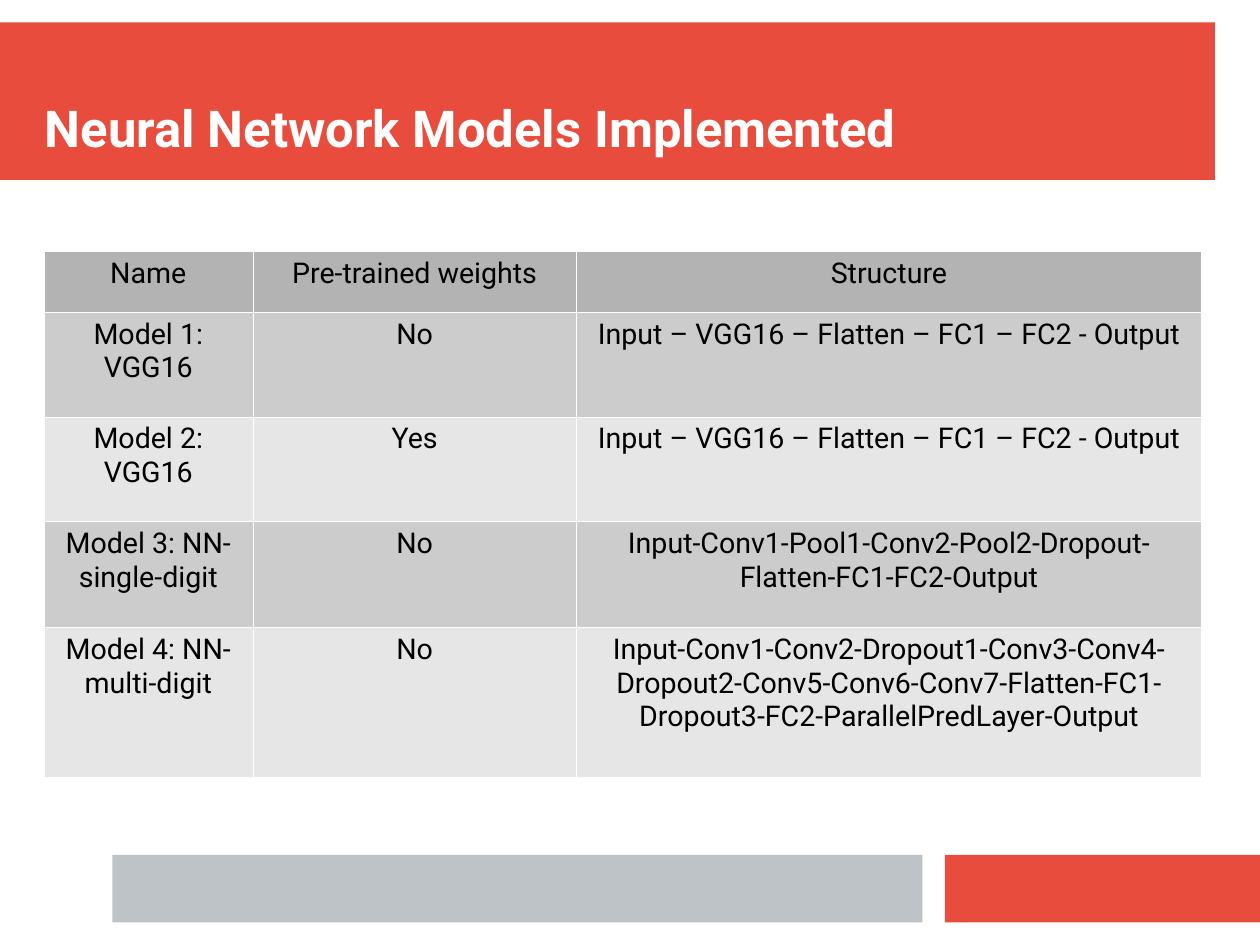
"""Build a slide with a table of the neural network models implemented."""
from dataclasses import dataclass

import lxml.etree
import pptx
import pptx.dml.color
import pptx.enum.shapes
import pptx.enum.text
import pptx.oxml.ns
import pptx.util

Cm = pptx.util.Cm
RGBColor = pptx.dml.color.RGBColor
PP_ALIGN = pptx.enum.text.PP_ALIGN

RED = RGBColor(0xE7, 0x4C, 0x3C)
SILVER = RGBColor(0xBD, 0xC3, 0xC7)
WHITE = RGBColor(0xFF, 0xFF, 0xFF)
BLACK = RGBColor(0x00, 0x00, 0x00)
HEADER_GREY = RGBColor(0xB3, 0xB3, 0xB3)
BAND_GREYS = (RGBColor(0xCC, 0xCC, 0xCC), RGBColor(0xE6, 0xE6, 0xE6))

HEADING_FONT = {"name": "Roboto", "size": pptx.util.Pt(32), "bold": True}
CELL_FONT = {"name": "Roboto", "size": pptx.util.Pt(18), "bold": False}
HEADING_PLACE = {"left": Cm(1), "top": Cm(1), "width": Cm(26), "height": Cm(2.5)}
HEADING_FRAME = {
    "margin_left": 0, "margin_top": 0, "margin_right": 0, "margin_bottom": 0,
    "word_wrap": True,
    "auto_size": pptx.enum.text.MSO_AUTO_SIZE.NONE,
    "vertical_anchor": pptx.enum.text.MSO_ANCHOR.BOTTOM,
}
BORDER_WIDTH = pptx.util.Pt(0.06)
COLUMN_WIDTHS = (4.65, 7.19, 13.89)
ROW_HEIGHTS = (1.34, 2.33, 2.33, 2.35, 3.32)


@dataclass(frozen=True)
class Bar:
    left: float
    top: float
    width: float
    height: float
    color: RGBColor


@dataclass(frozen=True)
class Model:
    name: str
    pretrained: str
    structure: str


BARS = (
    Bar(0, 0.5, 27, 3.5, RED),
    Bar(21, 19, 7, 1.5, RED),
    Bar(2.5, 19, 18, 1.5, SILVER),
)
VGG_STRUCTURE = "Input – VGG16 – Flatten – FC1 – FC2 - Output"
HEADER = Model("Name", "Pre-trained weights", "Structure")
MODELS = (
    Model("Model 1: VGG16", "No", VGG_STRUCTURE),
    Model("Model 2: VGG16", "Yes", VGG_STRUCTURE),
    Model("Model 3: NN-single-digit", "No",
          "Input-Conv1-Pool1-Conv2-Pool2-Dropout-Flatten-FC1-FC2-Output"),
    Model("Model 4: NN-multi-digit", "No",
          "Input-Conv1-Conv2-Dropout1-Conv3-Conv4-Dropout2-Conv5-Conv6-Conv7-"
          "Flatten-FC1-Dropout3-FC2-ParallelPredLayer-Output"),
)


def apply_format(target: object, values: dict) -> None:
    for attribute, value in values.items():
        setattr(target, attribute, value)


def write_text(frame, text: str, font: dict, color: RGBColor, alignment) -> None:
    paragraph = frame.paragraphs[0]
    paragraph.alignment = alignment
    run = paragraph.add_run()
    run.text = text
    apply_format(run.font, font)
    run.font.color.rgb = color


def draw_bar(slide, bar: Bar) -> None:
    band = slide.shapes.add_shape(
        pptx.enum.shapes.MSO_SHAPE.RECTANGLE,
        Cm(bar.left), Cm(bar.top), Cm(bar.width), Cm(bar.height))
    band.shadow.inherit = False
    band.fill.solid()
    band.fill.fore_color.rgb = bar.color
    band.line.fill.background()


def draw_heading(slide, text: str) -> None:
    heading = slide.shapes.title
    heading.element.getparent().append(heading.element)
    apply_format(heading, HEADING_PLACE)
    apply_format(heading.text_frame, HEADING_FRAME)
    write_text(heading.text_frame, text, HEADING_FONT, WHITE, PP_ALIGN.LEFT)


def draw_borders(cell) -> None:
    qn = pptx.oxml.ns.qn
    properties = cell._tc.get_or_add_tcPr()
    for side in ("a:lnL", "a:lnR", "a:lnT", "a:lnB"):
        border = lxml.etree.SubElement(properties, qn(side), w=str(BORDER_WIDTH))
        fill = lxml.etree.SubElement(border, qn("a:solidFill"))
        lxml.etree.SubElement(fill, qn("a:srgbClr"), val=str(WHITE))


def draw_models(slide) -> None:
    models = slide.shapes.add_table(
        len(ROW_HEIGHTS), len(COLUMN_WIDTHS), Cm(0.97), Cm(5.59),
        Cm(sum(COLUMN_WIDTHS)), Cm(sum(ROW_HEIGHTS))).table
    for column, width in zip(models.columns, COLUMN_WIDTHS):
        column.width = Cm(width)
    for index, (model, height) in enumerate(zip((HEADER, *MODELS), ROW_HEIGHTS)):
        row = models.rows[index]
        row.height = Cm(height)
        shade = BAND_GREYS[(index - 1) % 2] if index else HEADER_GREY
        for cell, text in zip(row.cells, (model.name, model.pretrained, model.structure)):
            draw_borders(cell)
            cell.fill.solid()
            cell.fill.fore_color.rgb = shade
            write_text(cell.text_frame, text, CELL_FONT, BLACK, PP_ALIGN.CENTER)


def main() -> None:
    deck = pptx.Presentation()
    apply_format(deck, {"slide_width": Cm(28), "slide_height": Cm(21)})
    slide = deck.slides.add_slide(deck.slide_layouts.get_by_name("Title Only"))
    for bar in BARS:
        draw_bar(slide, bar)
    draw_heading(slide, "Neural Network Models Implemented")
    draw_models(slide)
    deck.save("out.pptx")


if __name__ == "__main__":
    main()
